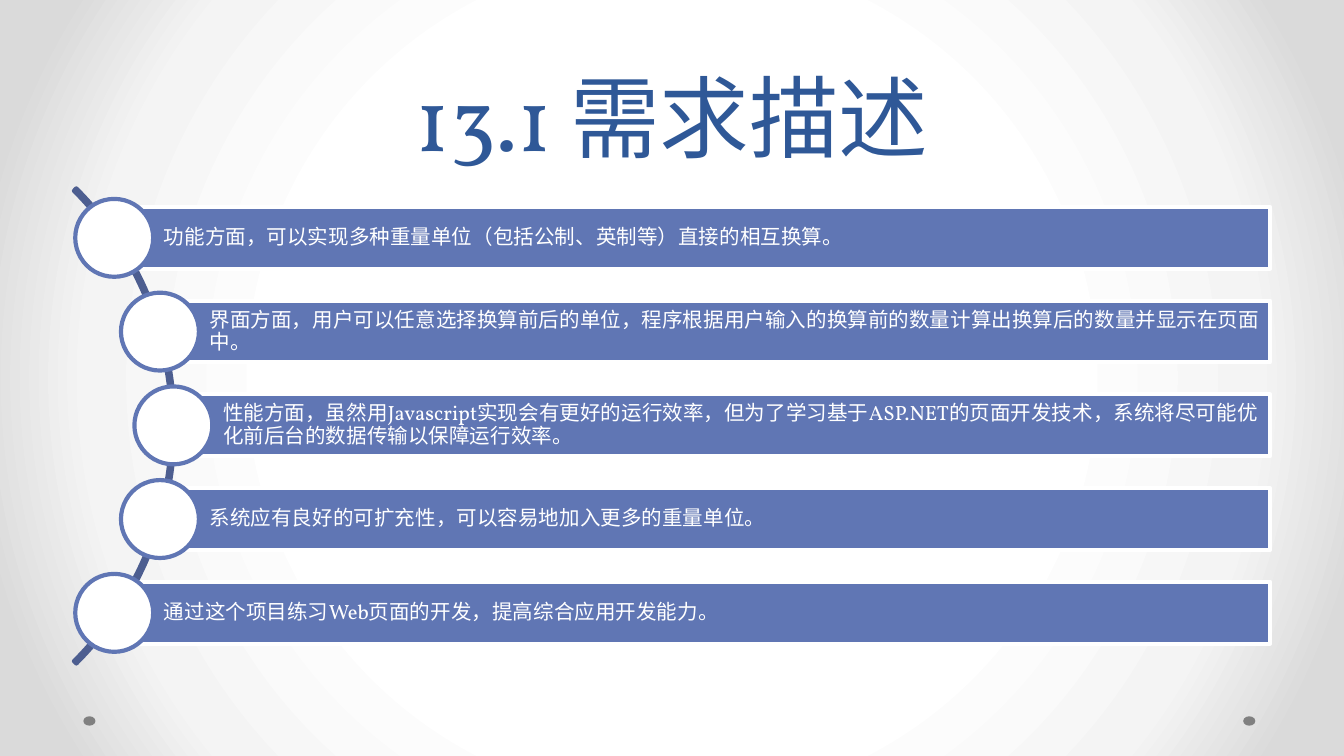
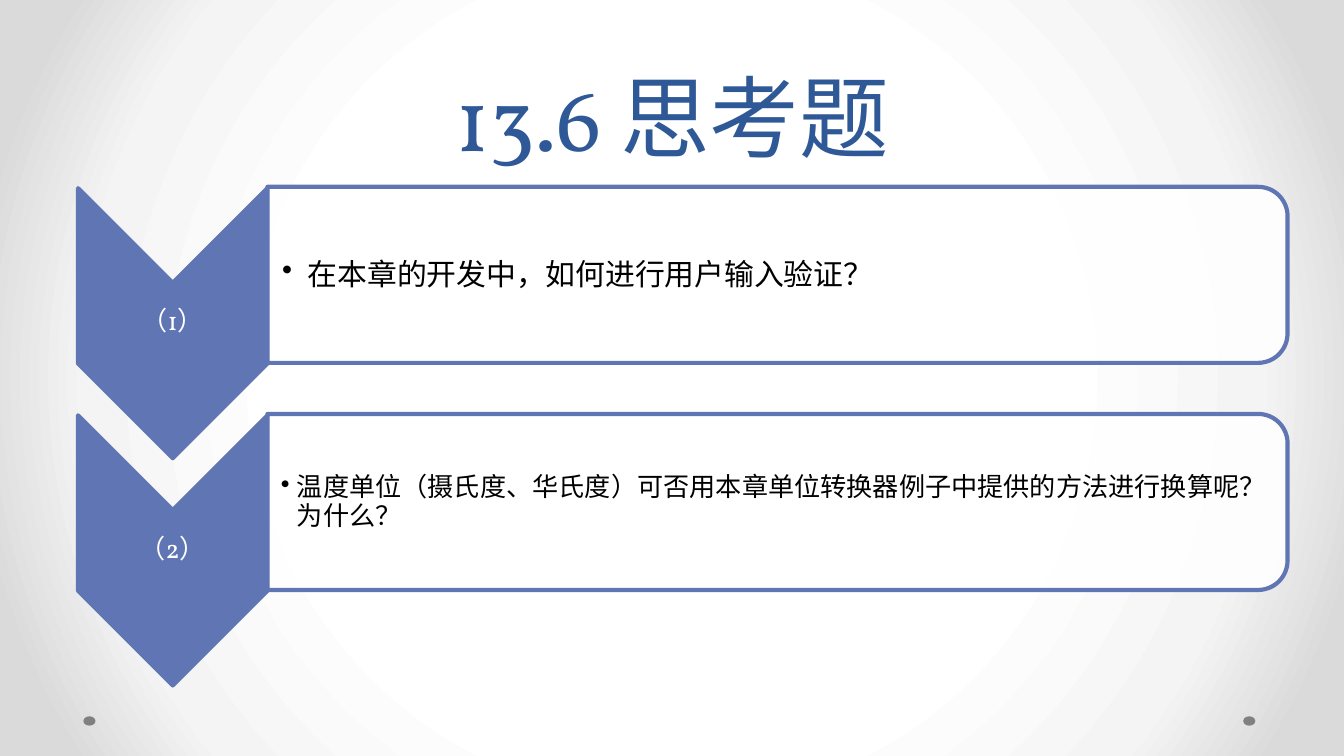
from dataclasses import dataclass

from lxml import etree
from pptx import Presentation
from pptx.dml.color import RGBColor
from pptx.enum.shapes import MSO_SHAPE
from pptx.enum.text import MSO_ANCHOR, MSO_AUTO_SIZE, PP_ALIGN
from pptx.oxml import parse_xml
from pptx.oxml.ns import nsdecls, qn
from pptx.util import Inches, Pt

OVAL, RECT = MSO_SHAPE.OVAL, MSO_SHAPE.RECTANGLE
ARC, CHEVRON = MSO_SHAPE.BLOCK_ARC, MSO_SHAPE.CHEVRON
PANEL = MSO_SHAPE.ROUND_2_SAME_RECTANGLE
LEFT, CENTER = PP_ALIGN.LEFT, PP_ALIGN.CENTER
MIDDLE, BOTTOM = MSO_ANCHOR.MIDDLE, MSO_ANCHOR.BOTTOM
NO_FIT = MSO_AUTO_SIZE.NONE

FONT = "Vollkorn"
BLUE, ARC_BLUE, TITLE_BLUE = "6076B4", "4D5E90", "2F5897"
WHITE, BLACK, GRAY = "FFFFFF", "000000", "808080"
BACKGROUND_STOPS = [(50, "FFFFFF"), (76, "F4F4F4"), (92, "DADADA")]
LINE_WIDTH = 2.25


@dataclass
class Requirement:
    left: float
    text: str


@dataclass
class Question:
    label: str
    text: str
    size: int
    inset: float
    hanging: float


REQUIREMENTS = [
    Requirement(0.85, "功能方面，可以实现多种重量单位（包括公制、英制等）直接的相互换算。"),
    Requirement(1.19, "界面方面，用户可以任意选择换算前后的单位，程序根据用户输入的换算前的数量"
                      "计算出换算后的数量并显示在页面中。"),
    Requirement(1.29, "性能方面，虽然用Javascript实现会有更好的运行效率，但为了学习基于ASP.NET的"
                      "页面开发技术，系统将尽可能优化前后台的数据传输以保障运行效率。"),
    Requirement(1.19, "系统应有良好的可扩充性，可以容易地加入更多的重量单位。"),
    Requirement(0.85, "通过这个项目练习Web页面的开发，提高综合应用开发能力。"),
]
QUESTIONS = [
    Question("（1）", "在本章的开发中，如何进行用户输入验证？", 16, 0.12, 0.19),
    Question("（2）", "温度单位（摄氏度、华氏度）可否用本章单位转换器例子中提供的方法"
                     "进行换算呢？为什么？", 14, 0.11, 0.12),
]


def rgb(color: str) -> RGBColor:
    return RGBColor.from_string(color)


def set_attrs(target, values: dict) -> None:
    for name, value in values.items():
        setattr(target, name, value)


def add_shape(slide, kind, box, fill=None, line=None, rotation=0):
    """Draw a preset shape; box is left, top, width, height in inches."""
    sp = slide.shapes.add_shape(kind, *map(Inches, box))
    sp.shadow.inherit = False
    sp.rotation = rotation
    if fill:
        sp.fill.solid()
        sp.fill.fore_color.rgb = rgb(fill)
    else:
        sp.fill.background()
    if line:
        sp.line.color.rgb = rgb(line)
        sp.line.width = Pt(LINE_WIDTH)
    else:
        sp.line.fill.background()
    return sp


def write_text(sp, text: str, size: int, color: str, align=LEFT, anchor=MIDDLE,
               insets=(0.1, 0.05, 0.1, 0.05), spacing=0.9):
    tf = sp.text_frame
    sides = ("margin_left", "margin_top", "margin_right", "margin_bottom")
    set_attrs(tf, {"word_wrap": True, "auto_size": NO_FIT, "vertical_anchor": anchor,
                   **dict(zip(sides, map(Inches, insets)))})
    p = tf.paragraphs[0]
    set_attrs(p, {"alignment": align, "line_spacing": spacing})
    r = p.add_run()
    r.text = text
    set_attrs(r.font, {"name": FONT, "size": Pt(size)})
    r.font.color.rgb = rgb(color)
    return p


def add_text(slide, box, *args, **kwargs):
    sp = slide.shapes.add_textbox(*map(Inches, box))
    return write_text(sp, *args, **kwargs)


def add_bullet(p, hanging: float) -> None:
    p.level = 1
    pPr = p._p.get_or_add_pPr()
    pPr.set("marL", str(Inches(hanging)))
    pPr.set("indent", str(-Inches(hanging)))
    etree.SubElement(pPr, qn("a:buChar")).set("char", "•")


def set_opacity(sp, percent: int) -> None:
    color = sp._element.spPr.find(qn("a:solidFill"))[0]
    etree.SubElement(color, qn("a:alpha")).set("val", str(percent * 1000))


def set_background(master) -> None:
    """Give the master a circular gradient from the centre."""
    master.background.fill.gradient()
    bgPr = master._element.find(".//" + qn("p:bgPr"))
    stops = "".join(f'<a:gs pos="{pos * 1000}"><a:srgbClr val="{color}"/></a:gs>'
                    for pos, color in BACKGROUND_STOPS)
    bgPr.replace(bgPr.find(qn("a:gradFill")), parse_xml(
        f'<a:gradFill {nsdecls("a")} rotWithShape="1"><a:gsLst>{stops}</a:gsLst>'
        '<a:path path="circle"><a:fillToRect l="50000" t="50000" r="50000" b="50000"/>'
        '</a:path></a:gradFill>'))


def add_slide(prs, title: str):
    """Add a slide with the shared title and corner dots."""
    slide = prs.slides.add_slide(prs.slide_layouts.get_by_name("Title Only"))
    for left in (9.25, 0.62):
        add_shape(slide, OVAL, (left, 5.33, 0.09, 0.07), GRAY)
    sp = slide.shapes.title
    set_attrs(sp, {"left": Inches(0.5), "top": Inches(0),
                   "width": Inches(9), "height": Inches(1.31)})
    write_text(sp, title, 48, TITLE_BLUE, CENTER, BOTTOM, spacing=Pt(58))
    return slide


def build_requirements(prs) -> None:
    slide = add_slide(prs, "13.1 需求描述")
    arc = add_shape(slide, ARC, (-3.7, 0.67, 5, 5), line=ARC_BLUE)
    for i, value in enumerate((189, 27, 0.005)):
        arc.adjustments[i] = value
    right, first_top, last_top = 9.45, 1.54, 4.33
    height, circle = 0.46, 0.58
    pitch = (last_top - first_top) / (len(REQUIREMENTS) - 1)
    for i, item in enumerate(REQUIREMENTS):
        top = first_top + i * pitch
        bar = add_shape(slide, RECT, (item.left, top, right - item.left, height),
                        BLUE, WHITE)
        write_text(bar, item.text, 11, WHITE, insets=(0.37, 0.03, 0.03, 0.03))
        add_shape(slide, OVAL, (item.left - circle / 2, top + (height - circle) / 2,
                                circle, circle), WHITE, BLUE)


def build_questions(prs) -> None:
    slide = add_slide(prs, "13.6 思考题")
    pitch = 1.69
    for i, item in enumerate(QUESTIONS):
        dy = i * pitch
        add_shape(slide, CHEVRON, (0.28, 1.7 + dy, 2.01, 1.41), BLUE, BLUE, 90)
        add_text(slide, (0.58, 2.1 + dy, 1.41, 0.6), item.label, 14, WHITE, CENTER,
                 insets=(0.01,) * 4)
        panel = add_shape(slide, PANEL, (5.13, -1.75 + dy, 1.31, 7.59), WHITE, BLUE, 90)
        set_opacity(panel, 90)
        p = add_text(slide, (1.98, 1.46 + dy, 7.53, 1.18), item.text, item.size, BLACK,
                     insets=(item.inset, 0.01, 0.01, 0.01))
        add_bullet(p, item.hanging)


def main() -> None:
    prs = Presentation()
    prs.slide_width = Inches(10)
    prs.slide_height = prs.slide_width * 9 // 16
    set_background(prs.slide_master)
    build_requirements(prs)
    build_questions(prs)
    prs.save("out.pptx")


if __name__ == "__main__":
    main()
